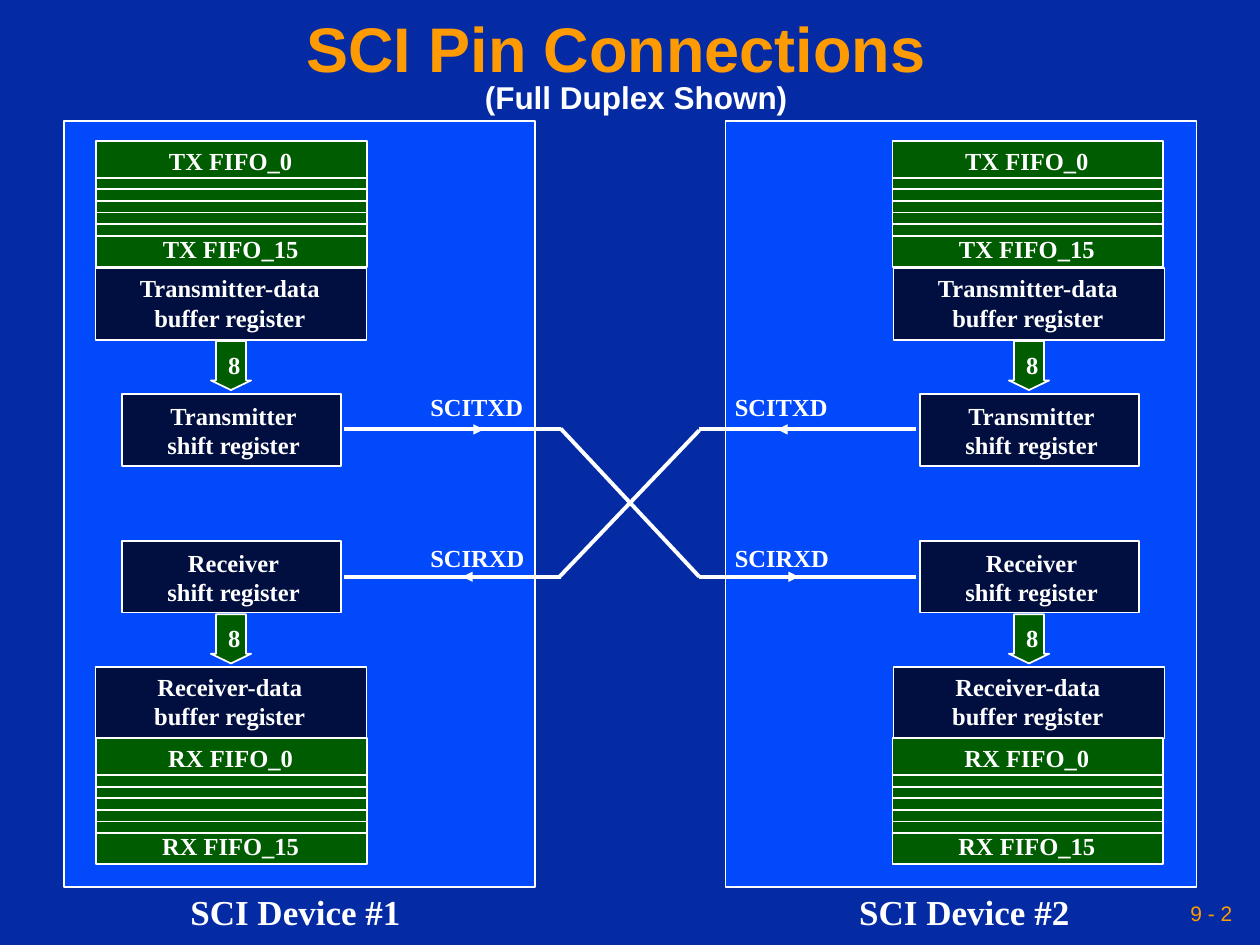
from pptx import Presentation
from pptx.dml.color import RGBColor
from pptx.enum import shapes, text
from pptx.oxml.ns import qn
from pptx.util import Pt
from lxml import etree

HUES = {"back": "042AA4", "panel": "0249FC", "box": "000F40",
        "green": "005C00", "white": "FFFFFF", "gold": "FE9B03"}
RGB = {name: RGBColor.from_string(code) for name, code in HUES.items()}
KIND, ALIGN = shapes.MSO_SHAPE, text.PP_ALIGN
SERIF = {"name": "Times New Roman", "size": Pt(14), "bold": True}
SANS = {"name": "Arial", "size": Pt(18), "bold": True}


def draw(home, kind, area, fill=None, width=1):
    """Add a filled shape, or a line from (x, y) to (x, y) if kind is None."""
    area = [Pt(n) for n in area]
    if kind is None:
        item = home.add_connector(shapes.MSO_CONNECTOR.STRAIGHT, *area)
        etree.SubElement(item._element.spPr, qn("a:effectLst"))
    else:
        item = home.add_shape(kind, *area)
        item.shadow.inherit = False
        item.fill.solid()
        item.fill.fore_color.rgb = RGB[fill]
    item.line.color.rgb = RGB["white"]
    item.line.width = Pt(width)
    return item


def write(home, area, words, font=SERIF, hue="white", align=ALIGN.CENTER, gap=0):
    """Add a text box with one paragraph per line of words."""
    box = home.add_textbox(*[Pt(n) for n in area])
    frame = box.text_frame
    frame.word_wrap = False
    frame.text = words
    for i, para in enumerate(frame.paragraphs):
        para.alignment = align
        if i and gap:
            para.space_before = Pt(gap)
        for key, value in font.items():
            setattr(para.font, key, value)
        para.font.color.rgb = RGB[hue]
    return frame


deck = Presentation()
deck.slide_width, deck.slide_height = Pt(720), Pt(540)
slide = deck.slides.add_slide(deck.slide_layouts[5])
slide.background.fill.solid()
slide.background.fill.fore_color.rgb = RGB["back"]
page = slide.shapes

# Title and subtitle
title = page.title
for key, value in {"left": 0, "top": 0, "width": 714, "height": 60}.items():
    setattr(title, key, Pt(value))
title.text_frame.text = "SCI Pin Connections "
title.text_frame.vertical_anchor = text.MSO_ANCHOR.MIDDLE
head = title.text_frame.paragraphs[0]
head.alignment = ALIGN.CENTER
head.line_spacing = 0.9
for key, value in {**SANS, "size": Pt(36)}.items():
    setattr(head.font, key, value)
head.font.color.rgb = RGB["gold"]
write(page, (270, 41, 187.2, 28.8), "(Full Duplex Shown)", SANS, align=ALIGN.LEFT)

# Registers: box left, top, width; label left, top, width; words
REGS = [
    (54.6, 153.2, 154.8, 72, 152.6, 118.8, "Transmitter-data\nbuffer register"),
    (69.6, 225.2, 125.3, 88.5, 225.4, 90, "Transmitter\nshift register"),
    (69.6, 309.1, 125.3, 88.5, 309.6, 90, "Receiver\nshift register"),
    (54.6, 381.1, 154.8, 80.6, 380.2, 101.5, "Receiver-data\nbuffer register"),
]

# The two devices: panel left, shift of the inner parts, name left
for num, (left, dx, name) in enumerate([(36.6, 0, 101.6), (414.6, 456, 483.8)], 1):
    draw(page, KIND.RECTANGLE, (left, 69.1, 269.1, 437.8), "panel")
    write(page, (name, 505.4, 134.6, 31), f"SCI Device #{num}",
          {**SERIF, "size": Pt(20)})

    for x, y, w, tx, ty, tw, words in REGS:
        draw(page, KIND.RECTANGLE, (x + dx, y, w, 41), "box")
        write(page, (tx + dx, ty, tw, 40.3), words)

    # Eight-bit transfers
    for y, ty in [(194.8, 196.6), (351, 352.3)]:
        arrow = draw(page, KIND.DOWN_ARROW, (120.5 + dx, y, 23, 28.1), "green")
        arrow.adjustments[0], arrow.adjustments[1] = 0.75, 0.24
        write(page, (123.1 + dx, ty, 21.6, 23.8), "8")

    # FIFO stacks, with labels as wide as the stack
    for mode, y in [("TX", 80.6), ("RX", 421.9)]:
        stack = page.add_group_shape().shapes
        x = 55 + dx - (num - 1)
        draw(stack, KIND.RECTANGLE, (x, y, 154.8, 72), "green")
        write(stack, (x + 16.8, y - 0.7, 120, 74.2),
              f"{mode} FIFO_0\n{mode} FIFO_15", gap=33.4)
        for row in range(6):
            level = y + 21 + row * 6.62
            draw(stack, None, (x + 0.4, level, x + 155.2, level))

# Pin labels
for x in (238.8, 412.8):
    for y, pin in [(220.3, "SCITXD"), (306.5, "SCIRXD")]:
        write(page, (x, y, 68, 23.8), pin, align=ALIGN.LEFT)

# Crossed wires
TX, RX = 245.4, 329.6
for y in (TX, RX):
    for x in (196.6, 399.6):
        draw(page, None, (x, y, x + 123.8, y), width=2.25)
draw(page, None, (399.6, RX, 320.4, TX - 0.5), width=2.25)
draw(page, None, (399.6, TX + 0.5, 319.7, RX), width=2.25)

# Direction marks, tip first
for tip, end, y in [(276.5, 263.5, TX), (264.2, 275.8, RX),
                    (456.5, 443.5, RX), (444.2, 455.8, TX)]:
    mark = draw(page, None, (tip, y, end, y))
    etree.SubElement(mark.line._get_or_add_ln(), qn("a:headEnd"), type="triangle")

# Page number
foot = write(page, (491.8, 509.8, 216, 23.8), "9 - 2",
             {"name": "Arial", "size": Pt(12)}, "gold", ALIGN.RIGHT)
foot.vertical_anchor = text.MSO_ANCHOR.MIDDLE
foot.margin_left = foot.margin_right = Pt(3.6)

deck.save("out.pptx")
